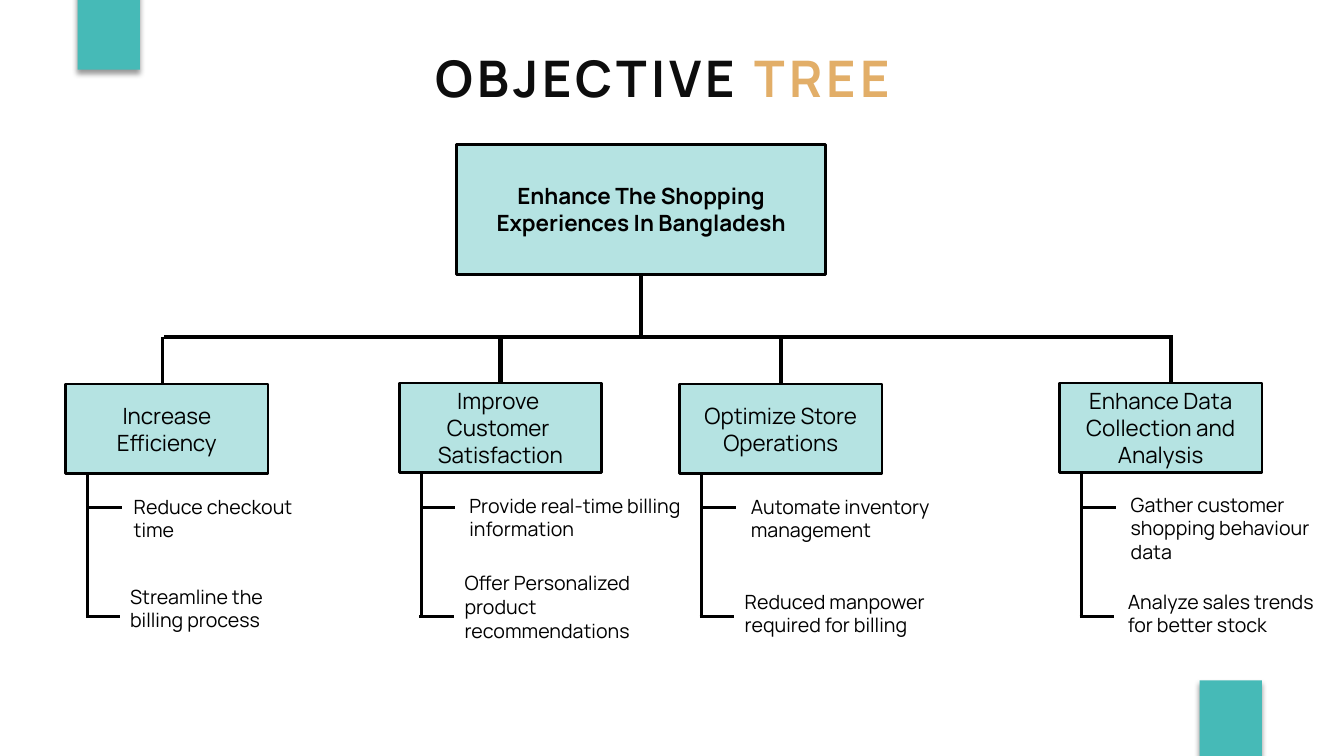
from dataclasses import dataclass

from lxml import etree
from pptx import Presentation
from pptx.dml.color import RGBColor
from pptx.enum import shapes, text
from pptx.oxml import ns
from pptx.util import Pt


@dataclass(frozen=True)
class Theme:
    font: str = "Manrope"
    ink: str = "000000"
    title_ink: str = "0D0D0D"
    gold: str = "E2AE68"
    teal: str = "46BAB7"
    pale_teal: str = "B5E3E2"
    title_size: float = 36
    box_size: float = 16
    leaf_size: float = 14
    outline: float = 2
    twig: float = 2.25
    trunk: float = 3


THEME = Theme()
CENTER = text.PP_ALIGN.CENTER
TOP, BOTTOM = 0, 2

BUS_Y, BUS_LEFT, BUS_RIGHT = 240.5, 117.4, 838.1
BRANCH_WIDTH, BRANCH_HEIGHT = 144.7, 64.1
STEM_INSET, TICK_LENGTH = 15.7, 24.5
TICK_YS = (362.4, 440.2)

# Box left, top, wording; drop x (None: middle of the box) and drop width;
# then each leaf: left, top, width, height, wording.
BRANCHES = [
    (46.8, 274.3, ["Increase Efficiency"], 115.9, THEME.twig, [
        (88.4, 349.9, 157.7, 40.3, "Reduce checkout time"),
        (85.9, 414, 149, 40.3, "Streamline the billing process")]),
    (285.1, 273.6, ["Improve ", "Customer ", "Satisfaction"], None, THEME.trunk, [
        (328.2, 349.2, 167, 40.3, "Provide real-time billing information"),
        (324.7, 404.6, 157, 56.2, "Offer Personalized product recommendations")]),
    (485.3, 274.3, ["Optimize Store Operations"], None, THEME.trunk, [
        (529.2, 349.9, 157, 40.3, "Automate inventory management"),
        (524.9, 417.6, 198.7, 40.3, "Reduced manpower required for billing")]),
    (756.7, 273.6, ["Enhance Data Collection and Analysis"], 836.6, THEME.trunk, [
        (800.6, 348.5, 146.2, 58.3, "Gather customer shopping behaviour data"),
        (798.5, 417.6, 148.3, 56.2, "Analyze sales trends for better stock")]),
]


def rgb(value):
    return RGBColor.from_string(value)


def place(left, top, width, height):
    return [Pt(v) for v in (left, top, width, height)]


def write(paragraph, wording, size, color=THEME.ink, bold=False, align=None, spacing=0):
    """Append one formatted run to a paragraph."""
    if align is not None:
        paragraph.alignment = align
    run = paragraph.add_run()
    run.text = wording
    run.font.name = THEME.font
    run.font.size = Pt(size)
    run.font.bold = bold
    run.font.color.rgb = rgb(color)
    if spacing:
        run.font._element.set("spc", str(round(spacing * 100)))


def add_title(slide):
    title = slide.shapes.title
    title.left, title.top, title.width, title.height = place(187.2, 30.2, 582.5, 51.1)
    frame = title.text_frame
    frame.word_wrap = True
    frame.auto_size = text.MSO_AUTO_SIZE.NONE
    frame.vertical_anchor = text.MSO_ANCHOR.TOP
    for wording, color in (("OBJECTIVE ", THEME.title_ink), ("TREE ", THEME.gold)):
        write(frame.paragraphs[0], wording, THEME.title_size, color=color,
              bold=True, align=CENTER, spacing=3)


def add_rectangle(slide, box, fill):
    rectangle = slide.shapes.add_shape(shapes.MSO_SHAPE.RECTANGLE, *place(*box))
    rectangle.shadow.inherit = False
    rectangle.fill.solid()
    rectangle.fill.fore_color.rgb = rgb(fill)
    rectangle.line.fill.background()
    return rectangle


def add_node(slide, box, lines, bold=False):
    node = add_rectangle(slide, box, THEME.pale_teal)
    node.line.color.rgb = rgb(THEME.ink)
    node.line.width = Pt(THEME.outline)
    frame = node.text_frame
    frame.word_wrap = True
    frame.vertical_anchor = text.MSO_ANCHOR.MIDDLE
    for index, line in enumerate(lines):
        paragraph = frame.add_paragraph() if index else frame.paragraphs[0]
        write(paragraph, line, THEME.box_size, bold=bold, align=CENTER)
    return node


def add_leaf(slide, box, wording):
    frame = slide.shapes.add_textbox(*place(*box)).text_frame
    frame.word_wrap = True
    frame.auto_size = text.MSO_AUTO_SIZE.SHAPE_TO_FIT_TEXT
    write(frame.paragraphs[0], wording, THEME.leaf_size)


def add_line(slide, x1, y1, x2, y2, width):
    line = slide.shapes.add_connector(
        shapes.MSO_CONNECTOR.STRAIGHT, *place(x1, y1, x2, y2))
    line.line.color.rgb = rgb(THEME.ink)
    line.line.width = Pt(width)
    etree.SubElement(line._element.spPr, ns.qn("a:effectLst"))
    return line


def add_branch(slide, left, top, lines, drop_x, drop_width, leaves):
    node = add_node(slide, (left, top, BRANCH_WIDTH, BRANCH_HEIGHT), lines)
    x = left + BRANCH_WIDTH / 2 if drop_x is None else drop_x
    drop = add_line(slide, x, BUS_Y, x, top, drop_width)
    if drop_x is None:
        drop.end_connect(node, TOP)

    stem_x = left + STEM_INSET
    add_line(slide, stem_x, top + BRANCH_HEIGHT, stem_x, TICK_YS[-1], THEME.twig)
    for tick_y, start_x, leaf in zip(TICK_YS, (stem_x, stem_x - 1.2), leaves):
        add_line(slide, start_x, tick_y, start_x + TICK_LENGTH, tick_y, THEME.twig)
        add_leaf(slide, leaf[:4], leaf[4])


def add_accent(slide, left, top):
    """Teal corner block with a soft shadow below it."""
    accent = add_rectangle(slide, (left, top, 44.6, 90.7), THEME.teal)
    effects = accent._element.spPr.find(ns.qn("a:effectLst"))
    shadow = etree.SubElement(effects, ns.qn("a:outerShdw"), blurRad=str(Pt(4)),
                              dist=str(Pt(3)), dir="5400000", rotWithShape="0")
    color = etree.SubElement(shadow, ns.qn("a:srgbClr"), val=THEME.ink)
    etree.SubElement(color, ns.qn("a:alpha"), val="40000")


def main():
    deck = Presentation()
    deck.slide_width, deck.slide_height = Pt(960), Pt(540)
    slide = deck.slides.add_slide(deck.slide_layouts[5])

    add_title(slide)
    goal = add_node(slide, (326.2, 103, 263.5, 92.9),
                    ["Enhance The Shopping Experiences In Bangladesh"], bold=True)
    goal_x = 326.2 + 263.5 / 2
    trunk = add_line(slide, goal_x, 195.9, goal_x, BUS_Y, THEME.trunk)
    trunk.begin_connect(goal, BOTTOM)
    add_line(slide, BUS_LEFT, BUS_Y, BUS_RIGHT, BUS_Y, THEME.trunk)
    for branch in BRANCHES:
        add_branch(slide, *branch)
    for left, top in ((55.4, -41), (856.8, 486)):
        add_accent(slide, left, top)

    deck.save("out.pptx")


if __name__ == "__main__":
    main()
